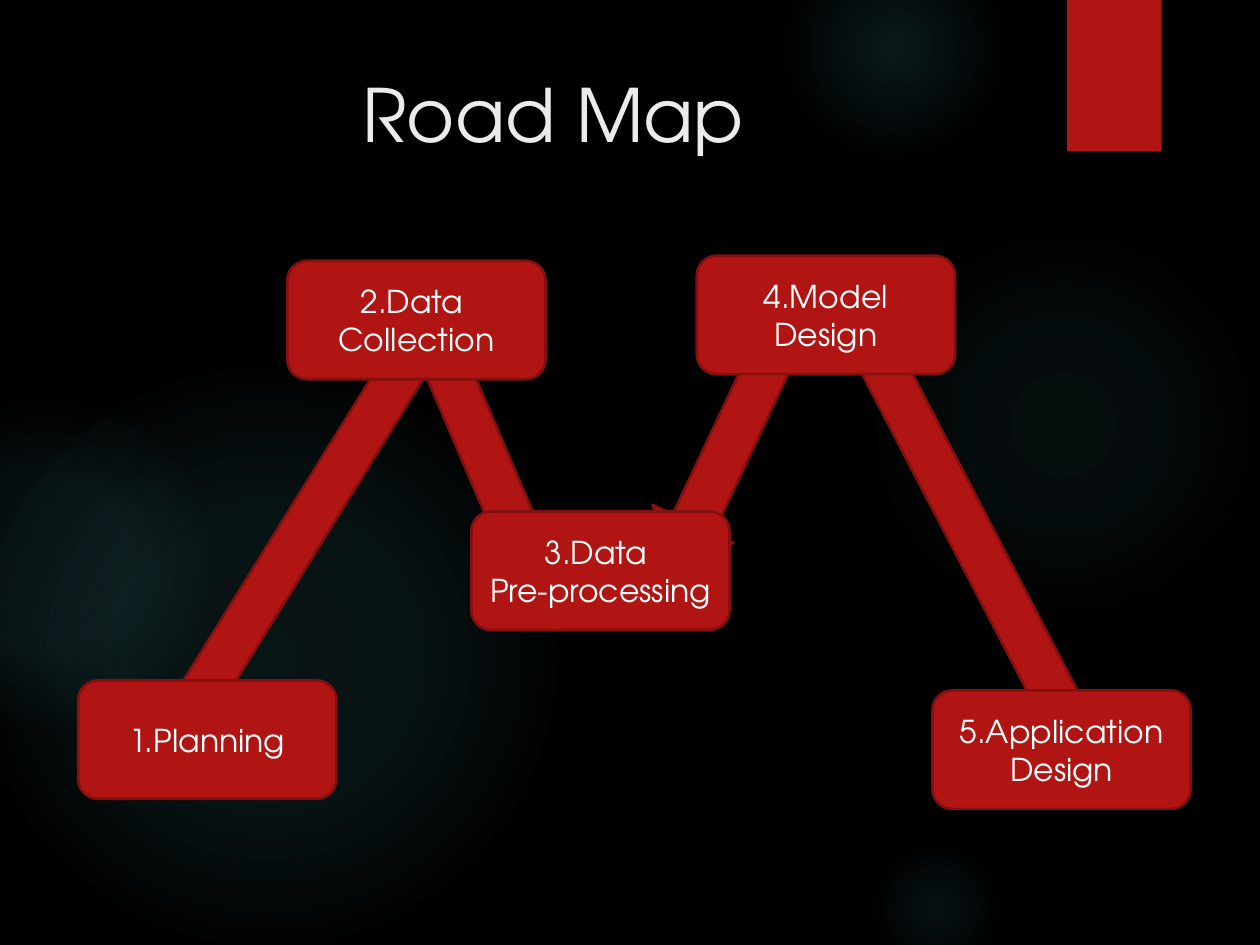
"""Build the Road Map slide: five project stages joined by block arrows."""
import pptx
import pptx.dml.color
import pptx.enum.shapes
import pptx.enum.text
import pptx.oxml
import pptx.oxml.ns
import pptx.util

THEME = {
    "font": "TeX Gyre Adventor",
    "back": "000000",
    "glow": "50B9C1",
    "accent": "B01513",
    "edge": "82100E",
    "title": "EBEBEB",
    "label": "FFFFFF",
    "title_size": 42,
    "label_size": 18,
    "edge_width": 1.5,
}
RGB = pptx.dml.color.RGBColor.from_string
SHAPE = pptx.enum.shapes.MSO_SHAPE

prs = pptx.Presentation()
prs.slide_width = pptx.util.Inches(10)
prs.slide_height = pptx.util.Inches(7.5)
COL, ROW = prs.slide_width / 100, prs.slide_height / 75
s = prs.slides.add_slide(prs.slide_layouts[6])
s.background.fill.solid()
s.background.fill.fore_color.rgb = RGB(THEME["back"])


def add_block(kind, left, top, width, height, edged=True):
    sp = s.shapes.add_shape(kind, round(left * COL), round(top * ROW),
                            round(width * COL), round(height * ROW))
    sp.shadow.inherit = False
    sp.fill.solid()
    sp.fill.fore_color.rgb = RGB(THEME["accent"])
    if edged:
        sp.line.color.rgb = RGB(THEME["edge"])
        sp.line.width = pptx.util.Pt(THEME["edge_width"])
    else:
        sp.line.fill.background()
    return sp


def set_text(tf, text, size, color):
    tf.word_wrap = True
    tf.text = text
    for p in tf.paragraphs:
        p.alignment = pptx.enum.text.PP_ALIGN.CENTER
        for r in p.runs:
            r.font.name = THEME["font"]
            r.font.size = pptx.util.Pt(size)
            r.font.color.rgb = RGB(color)


# left, top, diameter, then (position, opacity) stops in percent
glows = [
    (68.9, 18.3, 30.8, [(0, 7), (36, 6), (69, 0)]),
    (62.2, -5, 17.5, [(0, 14), (36, 7), (73, 0)]),
    (68.9, 66.7, 10.8, [(0, 9), (36, 5), (66, 0)]),
    (-1.7, 29.2, 45.8, [(0, 11), (36, 10), (75, 0)]),
    (-9.2, 31.7, 25.8, [(0, 8), (36, 8), (72, 0)]),
]
for left, top, size, stops in glows:
    sp = add_block(SHAPE.OVAL, left, top, size, size, edged=False)
    stop_xml = "".join(
        f'<a:gs pos="{pos * 1000}"><a:srgbClr val="{THEME["glow"]}">'
        f'<a:alpha val="{alpha * 1000}"/></a:srgbClr></a:gs>'
        for pos, alpha in stops)
    gradient = pptx.oxml.parse_xml(
        f'<a:gradFill {pptx.oxml.ns.nsdecls("a")}><a:gsLst>{stop_xml}</a:gsLst>'
        '<a:path path="circle"><a:fillToRect l="50000" t="50000" r="50000" b="50000"/>'
        '</a:path></a:gradFill>')
    solid = sp._element.spPr.find(pptx.oxml.ns.qn("a:solidFill"))
    solid.getparent().replace(solid, gradient)

add_block(SHAPE.RECTANGLE, 84.7, 0, 7.5, 12, edged=False)

arrows = [
    (59.2, 40.6, 37.5, 62.5),
    (48, 32.6, 19.1, 115.2),
    (7.3, 37, 35.4, 301.8),
    (29.7, 34.5, 19.1, 66.9),
]
for left, top, length, angle in arrows:
    sp = add_block(SHAPE.RIGHT_ARROW, left, top, length, 7.1)
    sp.rotation = angle

title = s.shapes.add_textbox(round(5.3 * COL), round(5 * ROW),
                             round(77.2 * COL), round(15.3 * ROW))
set_text(title.text_frame, "Road Map", THEME["title_size"], THEME["title"])

stages = [
    (22.8, 20.7, "2.Data \nCollection"),
    (6.2, 54, "1.Planning"),
    (37.4, 40.6, "3.Data \nPre-processing"),
    (55.3, 20.3, "4.Model\nDesign"),
    (74, 54.8, "5.Application\nDesign"),
]
for left, top, label in stages:
    sp = add_block(SHAPE.ROUNDED_RECTANGLE, left, top, 20.5, 9.4)
    sp.text_frame.vertical_anchor = pptx.enum.text.MSO_ANCHOR.MIDDLE
    set_text(sp.text_frame, label, THEME["label_size"], THEME["label"])

prs.save("out.pptx")
